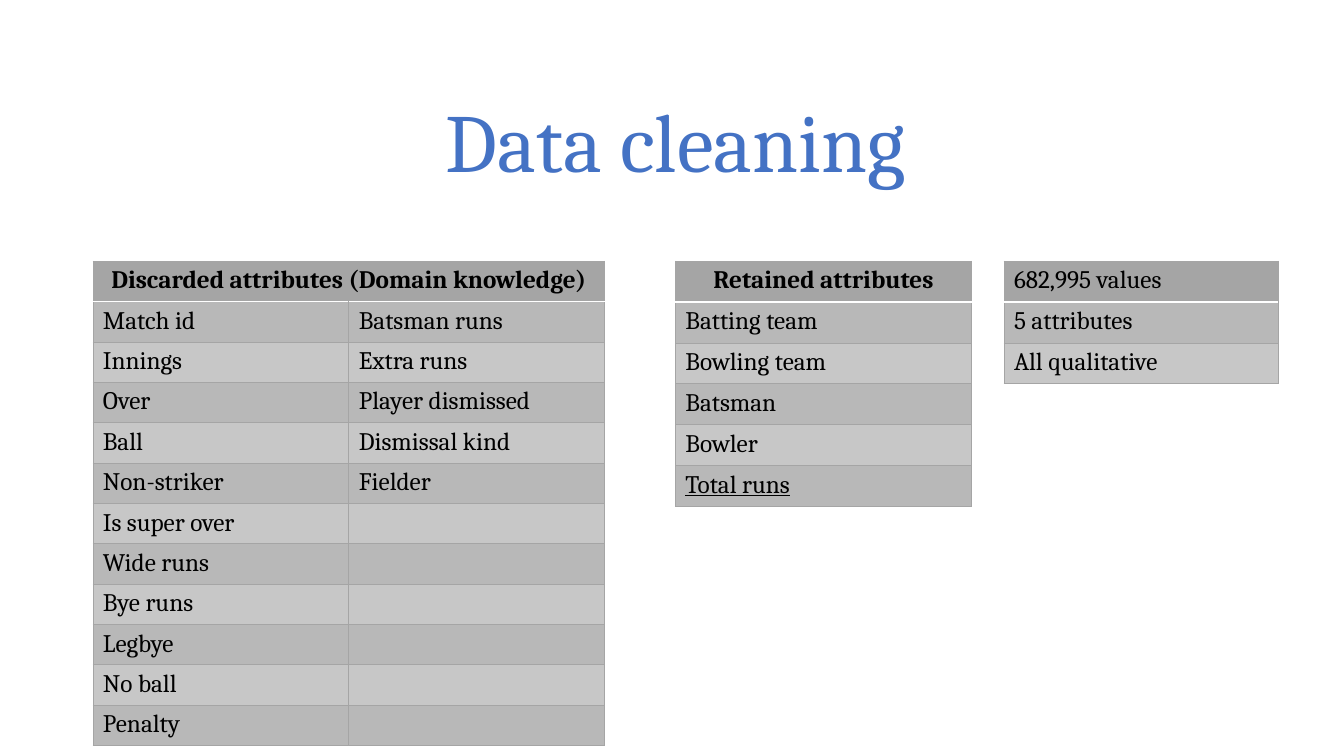
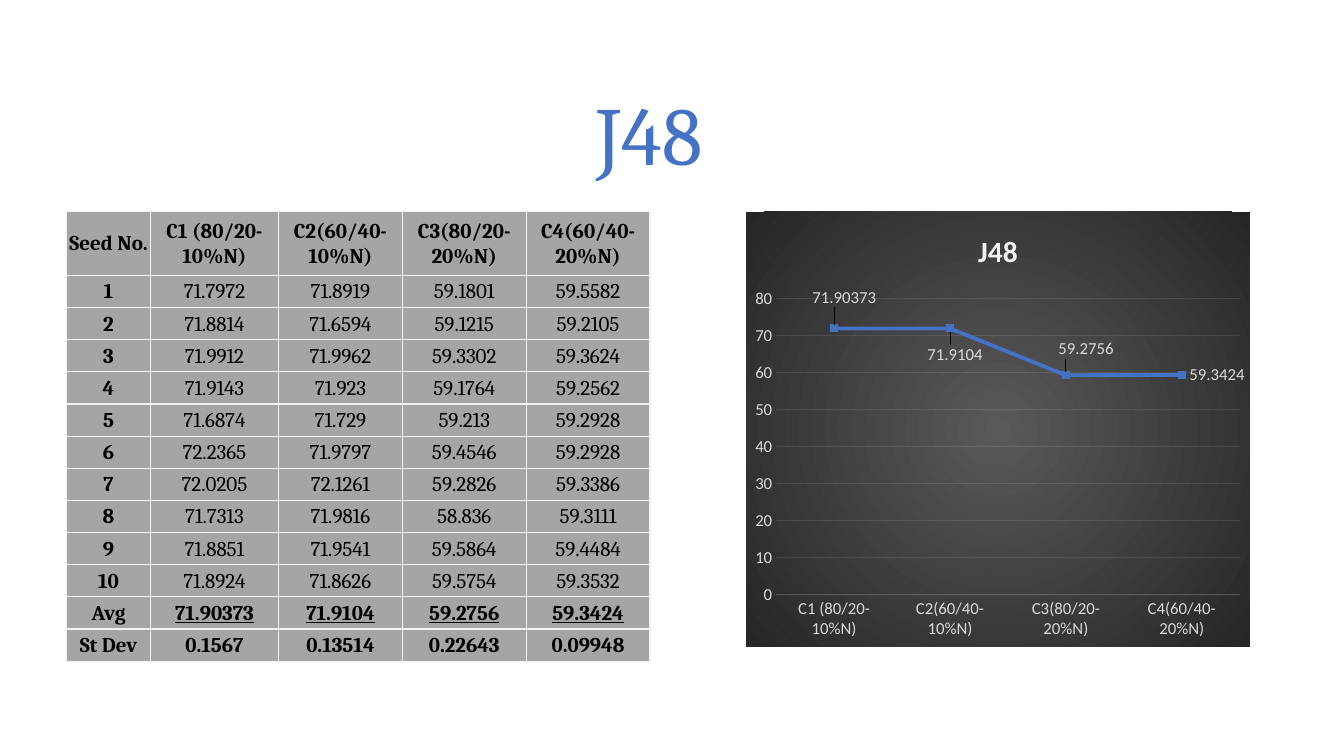
from lxml import etree
from pptx import Presentation
from pptx.chart.data import CategoryChartData
from pptx.dml.color import RGBColor
from pptx.enum.chart import XL_CHART_TYPE, XL_LABEL_POSITION, XL_TICK_MARK
from pptx.enum.text import MSO_ANCHOR, PP_ALIGN
from pptx.oxml import parse_xml
from pptx.util import Cm, Pt

LEFT, CENTER = PP_ALIGN.LEFT, PP_ALIGN.CENTER
TOP, MIDDLE = MSO_ANCHOR.TOP, MSO_ANCHOR.MIDDLE
ABOVE, BELOW, RIGHT = (XL_LABEL_POSITION.ABOVE, XL_LABEL_POSITION.BELOW,
                       XL_LABEL_POSITION.RIGHT)
NO_TICK = XL_TICK_MARK.NONE
LINE = XL_CHART_TYPE.LINE

SERIF, SANS = "Cambria", "Calibri"
BLUE, BLACK, WHITE = "4472C4", "000000", "FFFFFF"
GRAY, DARK, LIGHT = "A5A5A5", "B8B8B8", "C7C7C7"
PALE, SOFT = "F2F2F2", "D9D9D9"
NS_A = "http://schemas.openxmlformats.org/drawingml/2006/main"
NS_C = "http://schemas.openxmlformats.org/drawingml/2006/chart"

# Content: attribute lists
DROPPED = [
    ("Discarded attributes (Domain knowledge)", ""),
    ("Match id", "Batsman runs"),
    ("Innings", "Extra runs"),
    ("Over", "Player dismissed"),
    ("Ball", "Dismissal kind"),
    ("Non-striker", "Fielder"),
    ("Is super over", ""),
    ("Wide runs", ""),
    ("Bye runs", ""),
    ("Legbye", ""),
    ("No ball", ""),
    ("Penalty", ""),
]
KEPT = [("Retained attributes",), ("Batting team",), ("Bowling team",),
        ("Batsman",), ("Bowler",), ("Total runs",)]
FACTS = [("682,995 values",), ("5 attributes",), ("All qualitative",)]

# Content: results by seed
CASES = ("C1 (80/20-10%N)", "C2(60/40-10%N)",
         "C3(80/20-20%N)", "C4(60/40-20%N)")
SEEDS = [
    (71.7972, 71.8919, 59.1801, 59.5582),
    (71.8814, 71.6594, 59.1215, 59.2105),
    (71.9912, 71.9962, 59.3302, 59.3624),
    (71.9143, 71.923, 59.1764, 59.2562),
    (71.6874, 71.729, 59.213, 59.2928),
    (72.2365, 71.9797, 59.4546, 59.2928),
    (72.0205, 72.1261, 59.2826, 59.3386),
    (71.7313, 71.9816, 58.836, 59.3111),
    (71.8851, 71.9541, 59.5864, 59.4484),
    (71.8924, 71.8626, 59.5754, 59.3532),
]
MEANS = (71.90373, 71.9104, 59.2756, 59.3424)
DEVS = (0.1567, 0.13514, 0.22643, 0.09948)
RESULTS = [("Seed No.", *CASES)]
RESULTS += [(n, *vals) for n, vals in enumerate(SEEDS, 1)]
RESULTS += [("Avg", *MEANS), ("St Dev", *DEVS)]

# Label place, then its shift as a share of the chart
LABELS = [(ABOVE, 0.02, -0.03), (BELOW, 0.01, 0.02),
          (ABOVE, 0.04, -0.02), (RIGHT, 0, 0)]


def rgb(code):
    return RGBColor.from_string(code)


def style(font, size, color, face=SERIF, bold=False, under=False):
    font.name, font.size = face, Pt(size)
    font.bold, font.underline = bold, under
    font.color.rgb = rgb(color)


def put(frame, text, size=18, color=BLACK, align=LEFT, space=None, **form):
    para = frame.paragraphs[0]
    para.alignment = align
    if space:
        para.line_spacing = space
    run = para.add_run()
    run.text = str(text)
    style(run.font, size, color, **form)


def page(title, left, top):
    slide = deck.slides.add_slide(deck.slide_layouts[6])
    box = slide.shapes.add_textbox(Cm(left), Cm(top), Cm(31.27), Cm(3.68))
    frame = box.text_frame
    frame.word_wrap = True
    frame.vertical_anchor = MIDDLE
    put(frame, title, size=59, color=BLUE, align=CENTER, space=0.9)
    return slide


# Tables
def border(cell, edges):
    props = cell._tc.get_or_add_tcPr()
    for at, (side, (color, width)) in enumerate(edges.items()):
        props.insert(at, parse_xml(
            f'<a:ln{side} xmlns:a="{NS_A}" w="{Pt(width)}"><a:solidFill>'
            f'<a:srgbClr val="{color}"/></a:solidFill></a:ln{side}>'))


def grid(slide, rows, left, top, widths, heights, look):
    frame = slide.shapes.add_table(
        len(rows), len(widths), Cm(left), Cm(top),
        Cm(sum(widths)), Cm(sum(heights)))
    table = frame.table
    table.first_row = table.horz_banding = False
    for col, width in zip(table.columns, widths):
        col.width = Cm(width)
    for row, height in zip(table.rows, heights):
        row.height = Cm(height)
    for r, row in enumerate(rows):
        for c, text in enumerate(row):
            cell = table.cell(r, c)
            fill, edges, form = look(cell, r, c)
            cell.fill.solid()
            cell.fill.fore_color.rgb = rgb(fill)
            border(cell, edges)
            put(cell.text_frame, text, **form)
    return table


def banded(head, last=False):
    def look(cell, r, c):
        edges = dict.fromkeys("LRTB", (GRAY, 0.5))
        if r < 2:
            edges["TB"[r == 0]] = (WHITE, 1)
        fill = GRAY if r == 0 else DARK if r % 2 else LIGHT
        form = {"under": last and r == len(KEPT) - 1}
        if head and r == 0:
            form.update(bold=True, align=CENTER)
        return fill, edges, form
    return look


def scores(cell, r, c):
    cell.vertical_anchor = MIDDLE
    cell.margin_left = cell.margin_right = cell.margin_top = Cm(0.03)
    cell.margin_bottom = 0
    mean = len(SEEDS) + 1
    form = {"size": 15, "align": CENTER, "under": r == mean and c > 0,
            "bold": r == 0 or c == 0 or r >= mean}
    return GRAY, dict.fromkeys("LRTB", (PALE, 1)), form


# Chart
def layout(x, y, size=None):
    parts = {"x": x, "y": y}
    if size:
        parts = {"layoutTarget": "inner", "xMode": "edge", "yMode": "edge",
                 **parts, "w": size[0], "h": size[1]}
    body = "".join(f'<c:{k} val="{v}"/>' for k, v in parts.items())
    return parse_xml(f'<c:layout xmlns:c="{NS_C}"><c:manualLayout>{body}'
                     '</c:manualLayout></c:layout>')


def faint(line):
    line.width = Pt(0.75)
    line.color.rgb = rgb(PALE)
    tone = line._ln.find(f".//{{{NS_A}}}srgbClr")
    etree.SubElement(tone, f"{{{NS_A}}}alpha", val="10000")


def glow(chart, inner, outer):
    space = chart._chartSpace
    main = space.find(f"{{{NS_C}}}chart")
    main.addnext(parse_xml(
        f'<c:spPr xmlns:c="{NS_C}" xmlns:a="{NS_A}"><a:gradFill><a:gsLst>'
        f'<a:gs pos="0"><a:srgbClr val="{inner}"/></a:gs>'
        f'<a:gs pos="100000"><a:srgbClr val="{outer}"/></a:gs></a:gsLst>'
        '<a:path path="circle"><a:fillToRect l="50000" t="50000" r="50000" '
        'b="50000"/></a:path></a:gradFill><a:ln><a:noFill/></a:ln></c:spPr>'))


def trend(slide, left, top, width, height):
    data = CategoryChartData()
    data.categories = CASES
    data.add_series("Series 1", MEANS)
    chart = slide.shapes.add_chart(
        LINE, Cm(left), Cm(top), Cm(width), Cm(height), data).chart
    chart.has_legend = False
    style(chart.font, 10, BLACK, face=SANS)
    chart.has_title = True
    put(chart.chart_title.text_frame, "J48", size=21, color=PALE,
        align=CENTER, face=SANS, bold=True)
    chart.chart_title.include_in_layout = False
    glow(chart, "595959", "262626")

    for axis in (chart.category_axis, chart.value_axis):
        axis.major_tick_mark = axis.minor_tick_mark = NO_TICK
        style(axis.tick_labels.font, 12, SOFT, face=SANS)
    faint(chart.category_axis.format.line)
    scale = chart.value_axis
    scale.minimum_scale, scale.maximum_scale, scale.major_unit = 0, 80, 10
    scale.format.line.fill.background()
    faint(scale.major_gridlines.format.line)

    plot = chart.plots[0]
    plot.vary_by_categories = False
    area = chart._chartSpace.find(f".//{{{NS_C}}}plotArea")
    for old in area.findall(f"{{{NS_C}}}layout"):
        area.remove(old)
    area.insert(0, layout(0.06, 0.2, (0.92, 0.68)))

    series = plot.series[0]
    series.smooth = False
    series.marker.style = None
    series.format.line.width = Pt(2.75)
    series.format.line.color.rgb = rgb(BLUE)
    for n, (place, x, y) in enumerate(LABELS):
        label = series.points[n].data_label
        style(label.font, 12, SOFT, face=SANS)
        label.position = place
        if x or y:
            node = label._dLbl
            node.find(f"{{{NS_C}}}idx").addnext(layout(x, y))


deck = Presentation()
deck.slide_width, deck.slide_height = Cm(33.87), Cm(19.05)

# Slide 1: data cleaning
clean = page("Data cleaning", 1.4, 1.83)
grid(clean, FACTS, 25.3, 6.58, [6.91], [1.03] * len(FACTS), banded(False))
grid(clean, KEPT, 17.02, 6.58, [7.47], [1.03] * len(KEPT),
     banded(True, last=True))
drop = grid(clean, DROPPED, 2.34, 6.58, [6.45] * 2, [0.99] * len(DROPPED),
            banded(True))
drop.cell(0, 0).merge(drop.cell(0, 1))

# Slide 2: J48 results
tree = page("J48", 0.74, 1.65)
grid(tree, RESULTS, 1.68, 5.33, [2.11, 3.23] + [3.12] * 3,
     [1.61] + [0.81] * (len(RESULTS) - 1), scores)
trend(tree, 18.8, 5.33, 12.7, 10.97)

deck.save("out.pptx")
